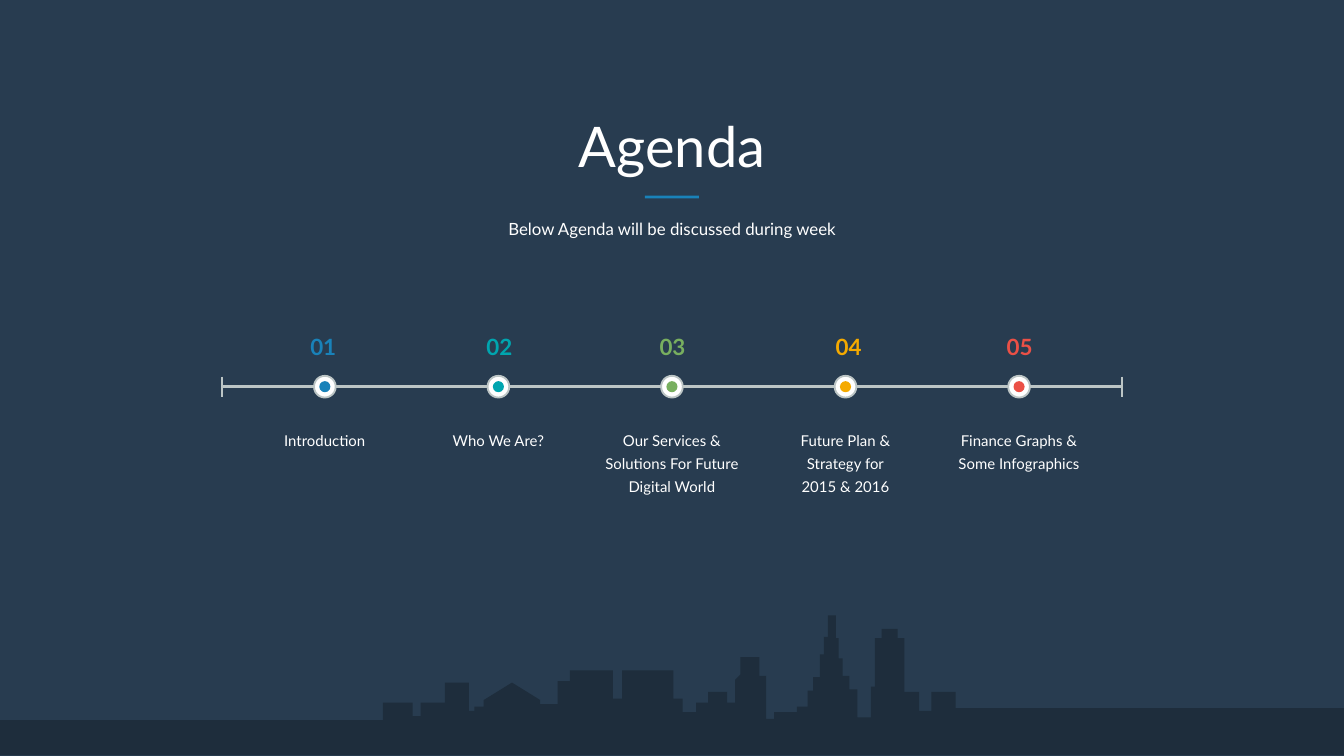
from dataclasses import dataclass
from typing import NamedTuple

from lxml.etree import SubElement
from pptx import Presentation
from pptx.dml.color import RGBColor
from pptx.enum.shapes import MSO_CONNECTOR, MSO_SHAPE
from pptx.enum.text import MSO_ANCHOR, MSO_AUTO_SIZE, PP_ALIGN
from pptx.oxml.ns import qn
from pptx.util import Cm, Pt

NAVY = RGBColor(0x28, 0x3C, 0x50)
DARK = RGBColor(0x1E, 0x2D, 0x3C)
WHITE = RGBColor(0xFF, 0xFF, 0xFF)
GREY = RGBColor(0xBC, 0xC5, 0xC5)
BLUE = RGBColor(0x19, 0x82, 0xB9)
TEAL = RGBColor(0x00, 0xA5, 0xAF)
GREEN = RGBColor(0x78, 0xAF, 0x5F)
AMBER = RGBColor(0xF5, 0xAA, 0x00)
RED = RGBColor(0xEB, 0x50, 0x46)

FONT = "Lato"
SLIDE_W, SLIDE_H = 25.4, 14.29
CENTER = SLIDE_W / 2
AXIS_Y = 7.31
AXIS_LEFT, AXIS_RIGHT = 4.2, 21.2
STOP_GAP = 3.28
SKYLINE_UNIT = Cm(2.54) / 100


@dataclass
class Stop:
    number: str
    number_x: float
    color: RGBColor
    lines: list[str]
    height: float


class Wall(NamedTuple):
    x: int
    top: int
    sloped: bool = False


STOPS = [
    Stop("01", 6.11, BLUE, ["Introduction"], 0.41),
    Stop("02", 9.44, TEAL, ["Who We Are?"], 0.41),
    Stop("03", 12.71, GREEN, ["Our Services & Solutions For Future Digital World"], 1.35),
    Stop("04", 16.04, AMBER, ["Future Plan & Strategy for", "2015 & 2016"], 1.35),
    Stop("05", 19.27, RED, ["Finance Graphs & Some Infographics"], 0.84),
]

GROUND = Wall(-17, 536)
WALLS = [
    Wall(285, 523), Wall(307, 533), Wall(313, 523), Wall(331, 508),
    Wall(349, 529), Wall(353, 526), Wall(360, 521), Wall(381, 508, True),
    Wall(402, 521, True), Wall(402, 524), Wall(415, 507), Wall(424, 499),
    Wall(456, 520), Wall(463, 499), Wall(501, 520), Wall(508, 530),
    Wall(518, 523), Wall(527, 515), Wall(541, 523), Wall(547, 506),
    Wall(551, 502, True), Wall(551, 489), Wall(565, 503), Wall(570, 535),
    Wall(576, 530), Wall(593, 526), Wall(601, 514), Wall(605, 504),
    Wall(610, 487), Wall(613, 474), Wall(616, 458), Wall(622, 475),
    Wall(624, 490), Wall(627, 503), Wall(632, 513), Wall(638, 534),
    Wall(648, 511), Wall(651, 475), Wall(656, 468), Wall(668, 475),
    Wall(673, 515), Wall(684, 529), Wall(693, 515), Wall(711, 527),
    Wall(1017, 562),
]


def write(sp, *lines: str, size: float, color: RGBColor = WHITE,
          bold: bool = False, spacing: float = 1.0) -> None:
    tf = sp.text_frame
    tf.auto_size = MSO_AUTO_SIZE.NONE
    tf.word_wrap = True
    tf.vertical_anchor = MSO_ANCHOR.TOP
    tf.margin_left = tf.margin_right = tf.margin_top = tf.margin_bottom = 0
    for i, line in enumerate(lines):
        p = tf.add_paragraph() if i else tf.paragraphs[0]
        p.alignment = PP_ALIGN.CENTER
        p.line_spacing = spacing
        r = p.add_run()
        r.text = line
        r.font.name = FONT
        r.font.size = Pt(size)
        r.font.bold = bold
        r.font.color.rgb = color


def place(sp, center_x: float, top: float, width: float, height: float) -> None:
    sp.left, sp.top = Cm(center_x - width / 2), Cm(top)
    sp.width, sp.height = Cm(width), Cm(height)


def add_text(shapes, center_x: float, top: float, width: float, height: float,
             *lines: str, **fmt) -> None:
    sp = shapes.add_textbox(0, 0, 0, 0)
    place(sp, center_x, top, width, height)
    write(sp, *lines, **fmt)


def paint(sp, fill: RGBColor, line: RGBColor | None = None) -> None:
    sp.shadow.inherit = False
    sp.fill.solid()
    sp.fill.fore_color.rgb = fill
    if line is None:
        sp.line.fill.background()
    else:
        sp.line.color.rgb = line
        sp.line.width = Pt(1)


def add_dot(shapes, x: float, size: float, fill: RGBColor,
            line: RGBColor | None = None) -> None:
    sp = shapes.add_shape(MSO_SHAPE.OVAL, Cm(x - size / 2), Cm(AXIS_Y - size / 2),
                          Cm(size), Cm(size))
    paint(sp, fill, line)


def add_line(shapes, x1: float, y1: float, x2: float, y2: float, width: float) -> None:
    cxn = shapes.add_connector(MSO_CONNECTOR.STRAIGHT, Cm(x1), Cm(y1), Cm(x2), Cm(y2))
    cxn.line.color.rgb = GREY
    cxn.line.width = Pt(width)
    SubElement(cxn._element.spPr, qn("a:effectLst"))


def add_skyline(shapes) -> None:
    points = []
    top = GROUND.top
    for wall in WALLS:
        if not wall.sloped:
            points.append((wall.x, top))
        points.append((wall.x, wall.top))
        top = wall.top
    points.append((GROUND.x, top))
    builder = shapes.build_freeform(GROUND.x, GROUND.top, scale=SKYLINE_UNIT)
    builder.add_line_segments(points, close=True)
    paint(builder.convert_to_shape(), DARK)


def add_timeline(shapes) -> None:
    group = shapes.add_group_shape().shapes
    add_line(group, AXIS_LEFT, AXIS_Y, AXIS_RIGHT, AXIS_Y, 1.5)
    for x in (AXIS_LEFT, AXIS_RIGHT):
        add_line(group, x, AXIS_Y - 0.19, x, AXIS_Y + 0.19, 1)
    for i, stop in enumerate(STOPS):
        x = CENTER + (i - 2) * STOP_GAP
        add_dot(group, x, 0.41, WHITE, GREY)
        add_dot(group, x, 0.21, stop.color)
        add_text(shapes, stop.number_x, 6.3, 0.58, 0.51, stop.number,
                 size=12, color=stop.color, bold=True)
        add_text(shapes, x, 8.05, 2.54, stop.height, *stop.lines, size=8, spacing=1.3)


def main() -> None:
    prs = Presentation()
    prs.slide_width, prs.slide_height = Cm(SLIDE_W), Cm(SLIDE_H)
    s = prs.slides.add_slide(prs.slide_layouts[5])
    s.background.fill.solid()
    s.background.fill.fore_color.rgb = NAVY

    title = s.shapes.title
    place(title, CENTER, 2.11, 21.6, 1.27)
    write(title, "Agenda", size=30)

    add_skyline(s.shapes)
    add_text(s.shapes, CENTER, 4.14, 21.6, 0.38,
             "Below Agenda will be discussed during week", size=9)
    rule = s.shapes.add_shape(MSO_SHAPE.RECTANGLE, 0, 0, 0, 0)
    place(rule, CENTER, 3.7, 1.02, 0.05)
    paint(rule, BLUE)
    add_timeline(s.shapes)
    prs.save("out.pptx")


if __name__ == "__main__":
    main()
